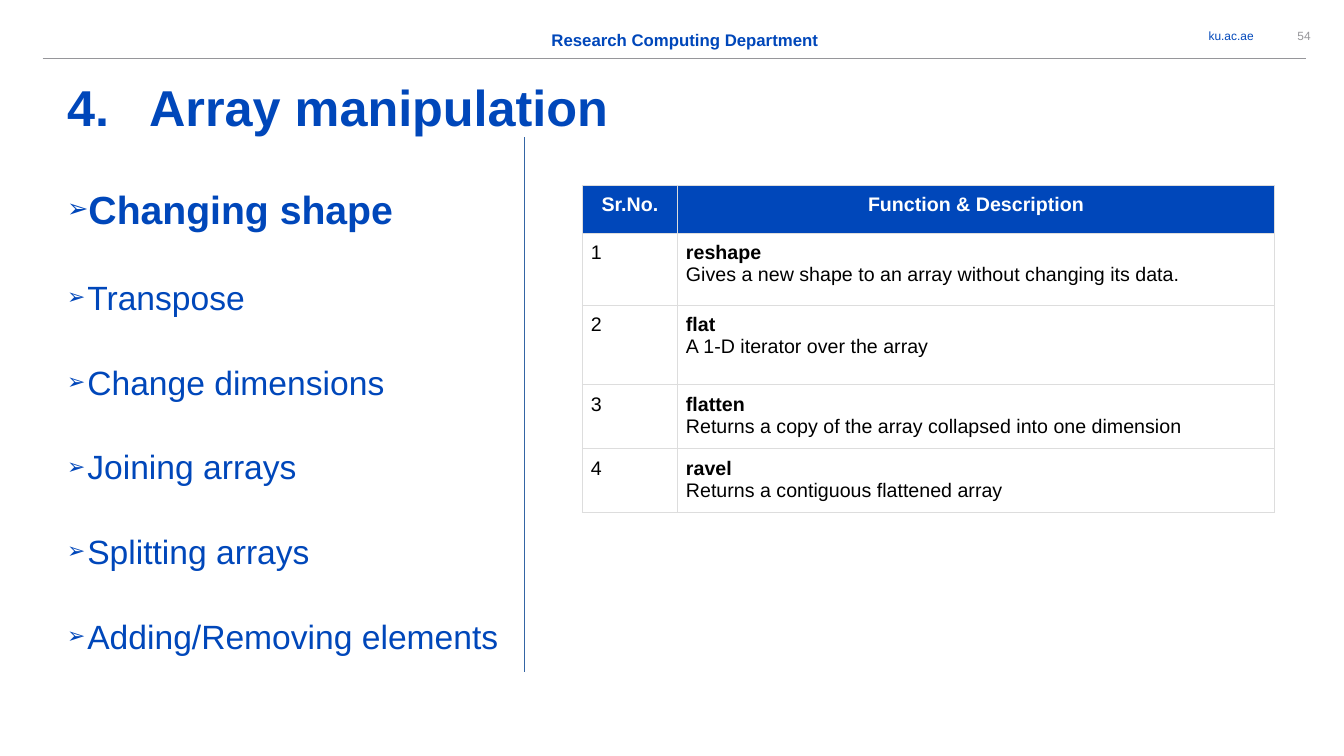
"""Build the array manipulation slide: a topic list beside a table of functions."""
from lxml import etree
from pptx import Presentation
from pptx.dml.color import RGBColor
from pptx.enum.shapes import MSO_CONNECTOR
from pptx.enum.text import MSO_ANCHOR, MSO_AUTO_SIZE, PP_ALIGN
from pptx.oxml.ns import qn
from pptx.util import Pt

LEFT, CENTER, RIGHT = PP_ALIGN.LEFT, PP_ALIGN.CENTER, PP_ALIGN.RIGHT
TOP, MIDDLE = MSO_ANCHOR.TOP, MSO_ANCHOR.MIDDLE
NO_AUTOFIT = MSO_AUTO_SIZE.NONE
STRAIGHT = MSO_CONNECTOR.STRAIGHT

FONT = "Arial"
BLUE = RGBColor(0x00, 0x47, 0xBA)
GRAY = RGBColor(0x96, 0x96, 0x9A)
DIVIDER_BLUE = RGBColor(0x34, 0x65, 0xA4)
BORDER_GRAY = RGBColor(0xDD, 0xDD, 0xDD)
WHITE = RGBColor(0xFF, 0xFF, 0xFF)
BLACK = RGBColor(0x00, 0x00, 0x00)

TITLE = "Array manipulation"
TITLE_NUMBER = 4
TOPICS = [
    "Changing shape",
    "Transpose",
    "Change dimensions",
    "Joining arrays",
    "Splitting arrays",
    "Adding/Removing elements",
]
CURRENT_TOPIC = "Changing shape"
TABLE_HEADER = ("Sr.No.", "Function & Description")
FUNCTIONS = [
    ("reshape", "Gives a new shape to an array without changing its data."),
    ("flat", "A 1-D iterator over the array"),
    ("flatten", "Returns a copy of the array collapsed into one dimension"),
    ("ravel", "Returns a contiguous flattened array"),
]
HEADER_LABELS = [
    ("ku.ac.ae", (820, 16, 75.5, 18.5), 8.5, BLUE, False, RIGHT, MIDDLE),
    ("Research Computing Department", (374.5, 21, 229.5, 14.5), 12, BLUE, True, CENTER, TOP),
    ("54", (911, 16, 41, 18.5), 8.5, GRAY, False, CENTER, MIDDLE),
]
LINES = [
    ((30.5, 42), (933, 42), GRAY),
    ((374.5, 98), (374.5, 480), DIVIDER_BLUE),
]
TITLE_BOX = (48, 54.5, 863.5, 44)
TOPICS_BOX = (48, 132.5, 326.5, 357)
TABLE_ORIGIN = (416, 132.5)
COLUMN_WIDTHS = (68, 426.5)
ROW_HEIGHTS = (34, 51.5, 57, 45.7, 45.7)
CELL_INSET = 6


def place(shape, box):
    shape.left, shape.top, shape.width, shape.height = map(Pt, box)


def prepare_frame(frame, anchor):
    frame.word_wrap = True
    frame.auto_size = NO_AUTOFIT
    frame.vertical_anchor = anchor
    frame.margin_left = frame.margin_top = frame.margin_right = frame.margin_bottom = 0


def add_run(paragraph, text, size, color, bold=False):
    run = paragraph.add_run()
    run.text = text
    run.font.name = FONT
    run.font.size = Pt(size)
    run.font.bold = bold
    run.font.color.rgb = color


def paragraph_at(frame, index):
    return frame.paragraphs[0] if index == 0 else frame.add_paragraph()


def hang_indent(paragraph, indent):
    properties = paragraph._p.get_or_add_pPr()
    properties.set("marL", str(Pt(indent)))
    properties.set("indent", str(-Pt(indent)))
    return properties


def add_arrow_bullet(paragraph):
    properties = hang_indent(paragraph, 14.4)
    bullet_color = etree.SubElement(properties, qn("a:buClr"))
    etree.SubElement(bullet_color, qn("a:srgbClr"), val=str(BLUE))
    etree.SubElement(properties, qn("a:buSzPct"), val="65000")
    etree.SubElement(properties, qn("a:buFont"), typeface=FONT)
    etree.SubElement(properties, qn("a:buChar"), char="➢")


def add_title(slide):
    title = slide.shapes.title
    place(title, TITLE_BOX)
    prepare_frame(title.text_frame, TOP)
    paragraph = title.text_frame.paragraphs[0]
    properties = hang_indent(paragraph, 58.5)
    etree.SubElement(properties, qn("a:buFont"), typeface=FONT)
    etree.SubElement(properties, qn("a:buAutoNum"), type="arabicPeriod", startAt=str(TITLE_NUMBER))
    paragraph.alignment = LEFT
    add_run(paragraph, TITLE, 36, BLUE, True)


def add_topics(slide):
    body = slide.placeholders[1]
    place(body, TOPICS_BOX)
    prepare_frame(body.text_frame, TOP)
    for index, topic in enumerate(TOPICS):
        paragraph = paragraph_at(body.text_frame, index)
        add_arrow_bullet(paragraph)
        paragraph.space_before = Pt(31.7 if index else 0)
        current = topic == CURRENT_TOPIC
        add_run(paragraph, topic, 28 if current else 24, BLUE, current)


def add_label(slide, text, box, size, color, bold, alignment, anchor):
    label = slide.shapes.add_textbox(*map(Pt, box))
    prepare_frame(label.text_frame, anchor)
    paragraph = label.text_frame.paragraphs[0]
    paragraph.alignment = alignment
    add_run(paragraph, text, size, color, bold)


def add_line(slide, start, end, color):
    line = slide.shapes.add_connector(STRAIGHT, *map(Pt, start + end))
    line.line.color.rgb = color
    line.line.width = Pt(0.75)
    etree.SubElement(line._element.spPr, qn("a:effectLst"))


def format_cell(cell, fill):
    cell.margin_left = cell.margin_top = cell.margin_right = cell.margin_bottom = Pt(CELL_INSET)
    cell.vertical_anchor = TOP
    properties = cell._tc.get_or_add_tcPr()
    for side in ("a:lnL", "a:lnR", "a:lnT", "a:lnB"):
        border = etree.SubElement(properties, qn(side), w=str(Pt(0.75)))
        border_fill = etree.SubElement(border, qn("a:solidFill"))
        etree.SubElement(border_fill, qn("a:srgbClr"), val=str(BORDER_GRAY))
    if fill is None:
        cell.fill.background()
    else:
        cell.fill.solid()
        cell.fill.fore_color.rgb = fill


def add_function_table(slide):
    size = (sum(COLUMN_WIDTHS), sum(ROW_HEIGHTS))
    frame = slide.shapes.add_table(
        len(ROW_HEIGHTS), len(COLUMN_WIDTHS), *map(Pt, TABLE_ORIGIN + size))
    table = frame.table
    table.first_row = table.horz_banding = False
    for column, width in zip(table.columns, COLUMN_WIDTHS):
        column.width = Pt(width)
    for row, height in zip(table.rows, ROW_HEIGHTS):
        row.height = Pt(height)
    for column, heading in enumerate(TABLE_HEADER):
        cell = table.cell(0, column)
        format_cell(cell, BLUE)
        paragraph = cell.text_frame.paragraphs[0]
        paragraph.alignment = CENTER
        add_run(paragraph, heading, 14, WHITE, True)
    for number, (name, description) in enumerate(FUNCTIONS, start=1):
        number_cell, function_cell = table.cell(number, 0), table.cell(number, 1)
        format_cell(number_cell, None)
        format_cell(function_cell, None)
        add_run(number_cell.text_frame.paragraphs[0], str(number), 14, BLACK)
        for index, text in enumerate((name, description)):
            paragraph = paragraph_at(function_cell.text_frame, index)
            add_run(paragraph, text, 14, BLACK, index == 0)


def main():
    presentation = Presentation()
    presentation.slide_width, presentation.slide_height = Pt(960), Pt(540)
    slide = presentation.slides.add_slide(presentation.slide_layouts[1])
    add_title(slide)
    add_topics(slide)
    for label in HEADER_LABELS:
        add_label(slide, *label)
    for line in LINES:
        add_line(slide, *line)
    add_function_table(slide)
    presentation.save("out.pptx")


if __name__ == "__main__":
    main()
